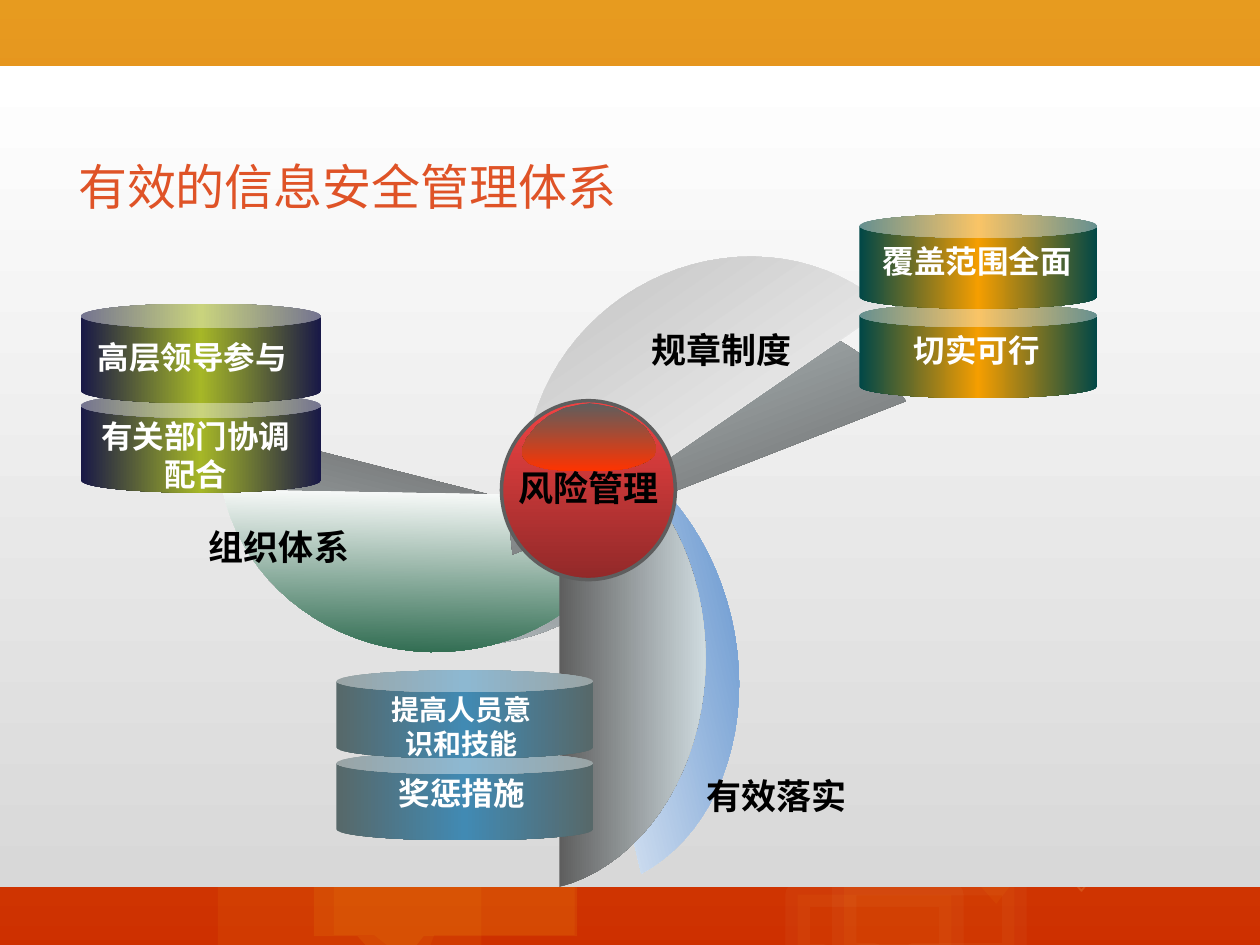
from copy import deepcopy
from math import cos, radians, sin

from pptx import Presentation
from pptx.dml.color import RGBColor
from pptx.enum.shapes import MSO_SHAPE
from pptx.enum.text import MSO_ANCHOR, PP_ALIGN
from pptx.oxml.ns import qn
from pptx.util import Inches, Pt

CALLOUT = MSO_SHAPE.RECTANGULAR_CALLOUT
CAN, OVAL, RECTANGLE = MSO_SHAPE.CAN, MSO_SHAPE.OVAL, MSO_SHAPE.RECTANGLE
LEFT, CENTER, RIGHT = PP_ALIGN.LEFT, PP_ALIGN.CENTER, PP_ALIGN.RIGHT
BOTTOM = MSO_ANCHOR.BOTTOM
COLORS = {
    "orange": "E29121", "red": "CE3000", "gold": "FDC51B", "cream": "FEEAAC",
    "yellow": "FFE181", "white": "FFFFFF", "black": "000000", "panel": "D8D8D8",
    "title": "DF5327", "gray": "5E5E5E", "mist": "CFDBDF", "silver": "B2B2B2",
    "green": "2A684C", "blue": "447EC4", "ball": "F14343", "maroon": "922929",
    "flame": "FF3300", "teal": "004747", "amber": "F59E00", "navy": "181847",
    "lime": "A6B727", "slate": "576869", "sky": "418AB3",
}
TIP = (-0.2, 0.65)
DECORATIONS = [
    ((2.65, 5.33, 1.91, 2.09), (-0.14, 0.64), "gold", 7, None),
    ((2.49, 5.34, 2.09, 2.09), TIP, "gold", 10, None),
    ((-0.04, -0.05, 10.04, 2.09), (-0.2, 0.45), "gold", 20, None),
    ((7.28, 4.77, 2.09, 2.09), TIP, "gold", 5, None),
    ((6.33, 7.1, 1.22, 0.49), TIP, "gold", 5, ("cream", 14, 3)),
    ((6.7, 7.01, 1.35, 0.57), TIP, "gold", 5, ("cream", 14, 3)),
    ((8.34, 6.14, 0.81, 0.81), TIP, "yellow", 5, ("yellow", 1, 14)),
    ((1.73, 5.97, 2.09, 1.61), TIP, "gold", 7, None),
]
BLADES = [
    ((2.78, 2.78, 1.26, 3.35), 104.3, ("gray", "mist")),
    ((2.8, 2.87, 1.26, 3.35), 91, ("white", "green")),
    ((4.66, 3.22, 1.16, 3.63), 346.8, ("white", "blue")),
    ((4.44, 3.41, 1.16, 3.63), 0, ("gray", "mist")),
    ((4.77, 1.53, 1.26, 3.35), 248.7, ("gray", "mist")),
    ((4.67, 1.2, 1.26, 3.35), 235.5, ("white", "silver")),
]
GLOSS = [
    (5.19, 3.5), (5.21, 3.56), (5.19, 3.62), (5.14, 3.66), (5.07, 3.69),
    (4.97, 3.72), (4.86, 3.73), (4.78, 3.74), (4.53, 3.74), (4.42, 3.73),
    (4.33, 3.72), (4.26, 3.7), (4.2, 3.68), (4.16, 3.64), (4.14, 3.6),
    (4.14, 3.57), (4.18, 3.48), (4.26, 3.38), (4.36, 3.3), (4.48, 3.24),
    (4.61, 3.21), (4.68, 3.2), (4.75, 3.21), (4.89, 3.24), (5.01, 3.31),
    (5.12, 3.39),
]
LABELS = [
    ("组织体系", (1.51, 4.12, 1.36, 0.43), RIGHT),
    ("规章制度", (5.07, 2.56, 1.45, 0.43), LEFT),
    ("有效落实", (5.47, 6.1, 1.35, 0.43), RIGHT),
]
TEAL, NAVY, SLATE = (
    ("teal", "amber", "teal"), ("navy", "lime", "navy"), ("slate", "sky", "slate"),
)
DRUMS = [
    ((6.82, 2.41, 1.89, 0.75), TEAL, "切实可行", (7.14, 2.58, 1.22, 0.4), 18, False),
    ((0.64, 3.12, 1.91, 0.79), NAVY, "有关部门协调配合", (0.63, 3.26, 1.85, 0.71), 18, True),
    ((0.64, 2.41, 1.91, 0.79), NAVY, "高层领导参与", (0.66, 2.63, 1.73, 0.4), 18, False),
    ((6.82, 1.7, 1.89, 0.75), TEAL, "覆盖范围全面", (6.89, 1.87, 1.73, 0.4), 18, False),
    ((2.67, 5.97, 2.04, 0.7), SLATE, "奖惩措施", (2.92, 6.09, 1.49, 0.4), 18, True),
    ((2.67, 5.32, 2.04, 0.7), SLATE, "提高人员意识和技能", (2.92, 5.45, 1.49, 0.63), 16, True),
]


def rgb(name):
    """Return the named colour."""
    return RGBColor.from_string(COLORS[name])


def lengths(values):
    """Turn numbers into lengths in inches."""
    return [Inches(value) for value in values]


def paint_solid(fill, color, opacity):
    """Fill with one colour at an opacity in percent."""
    fill.solid()
    fill.fore_color.rgb = rgb(color)
    tint = fill._xPr.find(qn("a:solidFill"))[0]
    tint.makeelement(qn("a:alpha"), {})
    alpha = tint.makeelement(qn("a:alpha"), {"val": str(opacity * 1000)})
    tint.append(alpha)


def paint_gradient(fill, colors, downward=False):
    """Fill with evenly spaced colours, left to right or downward."""
    fill.gradient()
    fill.gradient_angle = 270 if downward else 0
    stops = fill._xPr.find(qn("a:gradFill")).find(qn("a:gsLst"))
    for _ in colors[2:]:
        stops.append(deepcopy(stops[0]))
    for index, (stop, color) in enumerate(zip(fill.gradient_stops, colors)):
        stop.position = index / (len(colors) - 1)
        stop.color.rgb = rgb(color)


def make_plain(shape):
    """Take shadow and outline off a shape."""
    shape.shadow.inherit = False
    shape.line.fill.background()
    return shape


def add_preset(shapes, kind, place, adjustments=()):
    """Add a plain preset shape."""
    shape = make_plain(shapes.add_shape(kind, *lengths(place)))
    for index, value in enumerate(adjustments):
        shape.adjustments[index] = value
    return shape


def add_outline(shapes, points):
    """Add a plain closed freeform through points in inches."""
    start, *others = [tuple(lengths(point)) for point in points]
    builder = shapes.build_freeform(*start)
    builder.add_line_segments(others, close=True)
    return make_plain(builder.convert_to_shape())


def add_blade(shapes, place, rotation, colors, half_angle=78, steps=38):
    """Add a propeller blade cut from an ellipse, then turn it."""
    left, top, width, height = place
    edge = radians(half_angle)
    angles = [edge * (2 * step / steps - 1) for step in range(steps + 1)]
    points = [
        (left + width * (cos(angle) - cos(edge)) / (1 - cos(edge)),
         top + height * (1 + sin(angle) / sin(edge)) / 2)
        for angle in angles
    ]
    blade = add_outline(shapes, points)
    blade.rotation = rotation
    paint_gradient(blade.fill, colors)


def write(frame, text, size=20, color="black", font="Arial", bold=True,
          align=CENTER, wrap=True):
    """Write one formatted paragraph into a text frame."""
    frame.word_wrap = wrap
    para = frame.paragraphs[0]
    para.alignment = align
    span = para.add_run()
    span.text = text
    span.font.size, span.font.bold, span.font.name = Pt(size), bold, font
    span.font.color.rgb = rgb(color)
    properties = span.font._element
    properties.append(properties.makeelement(qn("a:ea"), {"typeface": font}))
    return para


def add_label(shapes, text, place, **style):
    """Add a text box."""
    write(shapes.add_textbox(*lengths(place)).text_frame, text, **style)


def add_decoration(shapes, place, tip, color, opacity, outline):
    """Add a translucent callout of the backdrop."""
    callout = add_preset(shapes, CALLOUT, place, tip)
    paint_solid(callout.fill, color, opacity)
    if outline:
        line_color, width, line_opacity = outline
        callout.line.width = Pt(width)
        paint_solid(callout.line.fill, line_color, line_opacity)


def add_drum(shapes, place, colors, text, text_place, size, wrap):
    """Add a cylinder grouped with its caption."""
    group = shapes.add_group_shape().shapes
    paint_gradient(add_preset(group, CAN, place, [0.25]).fill, colors)
    add_label(group, text, text_place, size=size, color="white", wrap=wrap)


def add_hub(shapes):
    """Add the glossy ball in the middle."""
    group = shapes.add_group_shape().shapes
    ball = add_preset(group, OVAL, (3.98, 3.18, 1.38, 1.42))
    paint_gradient(ball.fill, ("ball", "maroon"), downward=True)
    ball.line.color.rgb = rgb("gray")
    ball.line.width = Pt(2)
    paint_gradient(add_outline(group, GLOSS).fill, ("gray", "flame"), downward=True)
    add_label(shapes, "风险管理", (3.98, 3.65, 1.38, 0.43))


def set_title(title, text):
    """Place and format the slide title."""
    title.left, title.top, title.width, title.height = lengths((0.52, 0.74, 7.85, 1.02))
    title.text_frame.vertical_anchor = BOTTOM
    para = write(title.text_frame, text, size=28, color="title",
                 font="Noto Sans CJK SC", bold=False, align=LEFT)
    properties = para._p.get_or_add_pPr()
    properties.set("marL", str(Inches(0.5)))
    properties.set("indent", str(Inches(-0.5)))


def main():
    """Build the slide and save it."""
    deck = Presentation()
    deck.slide_width, deck.slide_height = lengths((10, 7.5))
    page = deck.slides.add_slide(deck.slide_layouts[5])
    shapes = page.shapes
    paint_gradient(page.background.fill, ("orange", "red"), downward=True)
    for decoration in DECORATIONS:
        add_decoration(shapes, *decoration)
    panel = add_preset(shapes, RECTANGLE, (0, 0.52, 10, 6.52))
    paint_gradient(panel.fill, ("white", "panel"), downward=True)
    title = shapes.title
    set_title(title, "有效的信息安全管理体系")
    panel._element.addnext(title._element)
    for blade in BLADES:
        add_blade(shapes, *blade)
    add_hub(shapes)
    for text, place, align in LABELS:
        add_label(shapes, text, place, align=align)
    for drum in DRUMS:
        add_drum(shapes, *drum)
    deck.save("out.pptx")


if __name__ == "__main__":
    main()
